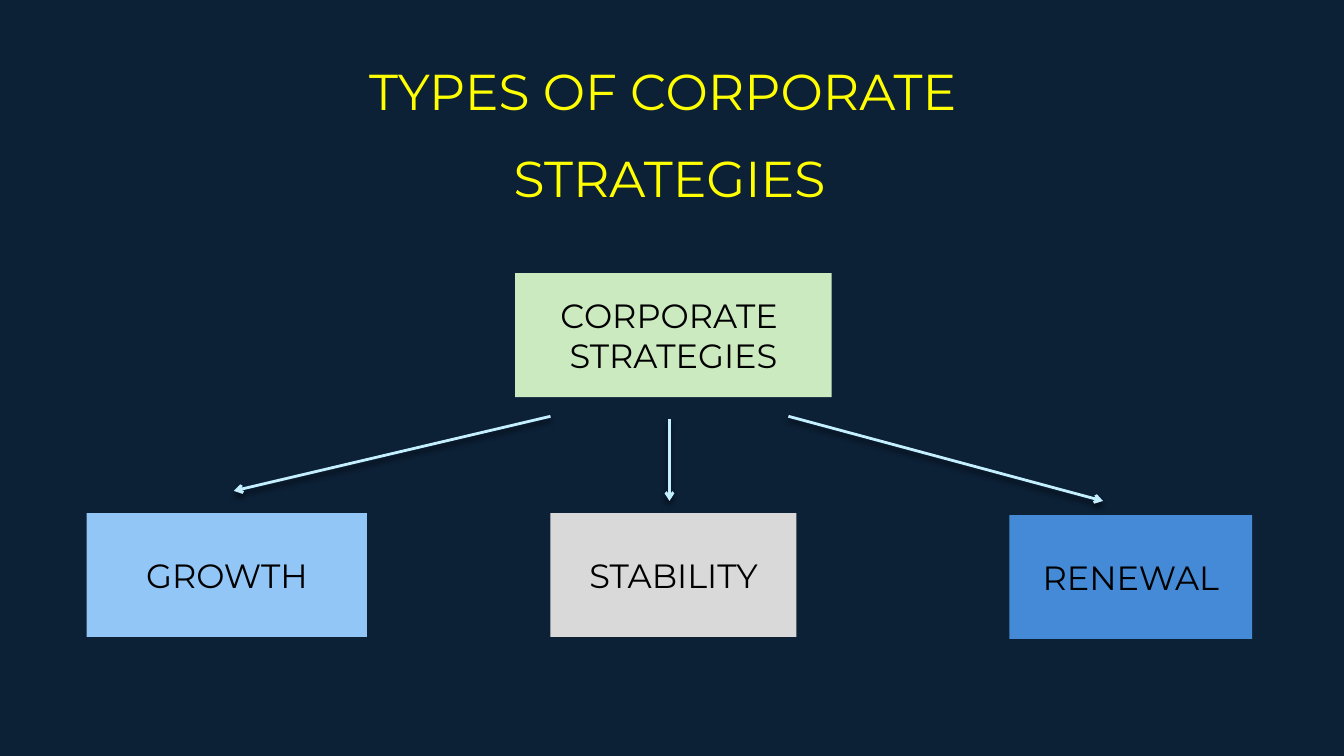
from dataclasses import dataclass

from lxml.etree import SubElement
from pptx import Presentation
from pptx.dml.color import RGBColor
from pptx.enum.shapes import MSO_CONNECTOR, MSO_SHAPE
from pptx.enum.text import MSO_ANCHOR, MSO_AUTO_SIZE, PP_ALIGN
from pptx.oxml import parse_xml
from pptx.oxml.ns import nsdecls, qn
from pptx.util import Inches, Pt


@dataclass(frozen=True)
class Theme:
    font: str = "Montserrat"
    background: str = "0C2036"
    title: str = "FFFF00"
    text: str = "000000"
    arrow: str = "C4EFFF"
    root: str = "CBEAC0"
    growth: str = "91C6F7"
    stability: str = "D9D9D9"
    renewal: str = "448AD7"
    title_size: int = 36
    box_size: int = 24


theme = Theme()


def write_centred(frame, text, size, color):
    """Fill a text frame with centred paragraphs in the slide font."""
    frame.text = text
    frame.word_wrap = True
    for paragraph in frame.paragraphs:
        paragraph.alignment = PP_ALIGN.CENTER
        for run in paragraph.runs:
            run.font.name = theme.font
            run.font.size = Pt(size)
            run.font.color.rgb = RGBColor.from_string(color)


# Slide and background
deck = Presentation()
deck.slide_width, deck.slide_height = Inches(13.33), Inches(7.5)
slide = deck.slides.add_slide(deck.slide_layouts[5])
slide.background.fill.solid()
slide.background.fill.fore_color.rgb = RGBColor.from_string(theme.background)

# Title
title = slide.shapes.title
title.left, title.top = Inches(0.68), Inches(0.43)
title.width, title.height = Inches(11.92), Inches(1.9)
heading = title.text_frame
write_centred(heading, "TYPES OF CORPORATE \nSTRATEGIES", theme.title_size, theme.title)
heading.auto_size = MSO_AUTO_SIZE.NONE
heading.vertical_anchor = MSO_ANCHOR.TOP
for line in heading.paragraphs:
    line.line_spacing = 1.2
heading.paragraphs[1].space_before = Pt(10)

# Strategy boxes: label, left, top, width, fill
strategies = [
    ("CORPORATE \nSTRATEGIES", 5.11, 2.71, 3.14, theme.root),
    ("GROWTH", 0.86, 5.09, 2.78, theme.growth),
    ("STABILITY", 5.46, 5.09, 2.44, theme.stability),
    ("RENEWAL", 10.01, 5.11, 2.41, theme.renewal),
]
for label, left, top, width, fill in strategies:
    strategy = slide.shapes.add_shape(
        MSO_SHAPE.RECTANGLE, Inches(left), Inches(top), Inches(width), Inches(1.23)
    )
    strategy.shadow.inherit = False
    strategy.fill.solid()
    strategy.fill.fore_color.rgb = RGBColor.from_string(fill)
    strategy.line.fill.background()
    strategy.text_frame.vertical_anchor = MSO_ANCHOR.MIDDLE
    write_centred(strategy.text_frame, label, theme.box_size, theme.text)

# Arrows from the root to each strategy, with a soft shadow below
arrow_ends = [
    (5.46, 4.13, 2.32, 4.87),
    (7.82, 4.13, 10.94, 4.97),
    (6.64, 4.16, 6.64, 4.97),
]
for ends in arrow_ends:
    arrow = slide.shapes.add_connector(
        MSO_CONNECTOR.STRAIGHT, *(Inches(value) for value in ends)
    )
    arrow.line.color.rgb = RGBColor.from_string(theme.arrow)
    arrow.line.width = Pt(2)
    SubElement(arrow.line._get_or_add_ln(), qn("a:tailEnd"), type="arrow")
    arrow._element.spPr.append(parse_xml(
        f'<a:effectLst {nsdecls("a")}>'
        f'<a:outerShdw blurRad="{Pt(4)}" dist="{Pt(3)}" dir="5400000" rotWithShape="0">'
        f'<a:srgbClr val="{theme.text}"><a:alpha val="54000"/></a:srgbClr>'
        '</a:outerShdw></a:effectLst>'
    ))

deck.save("out.pptx")
